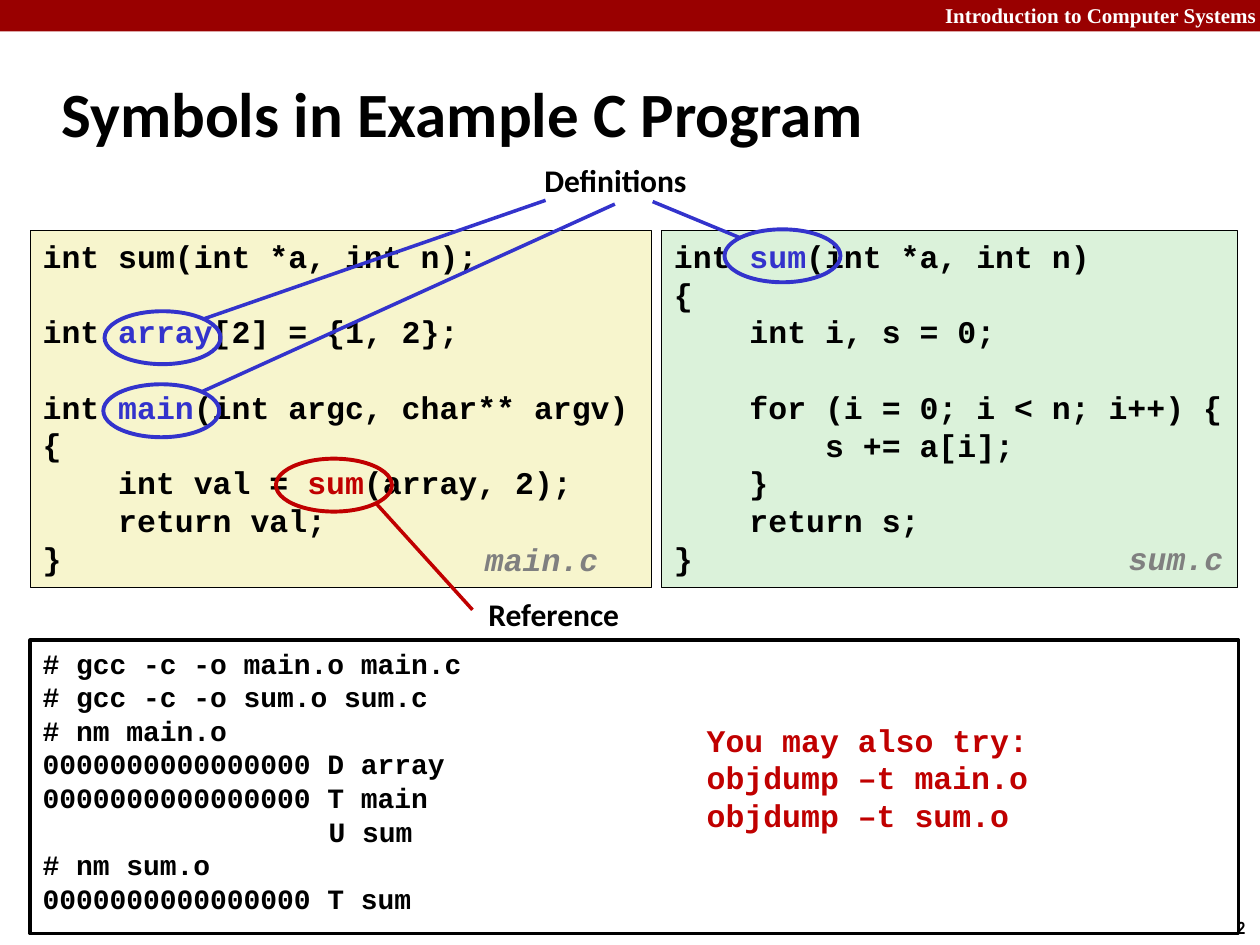
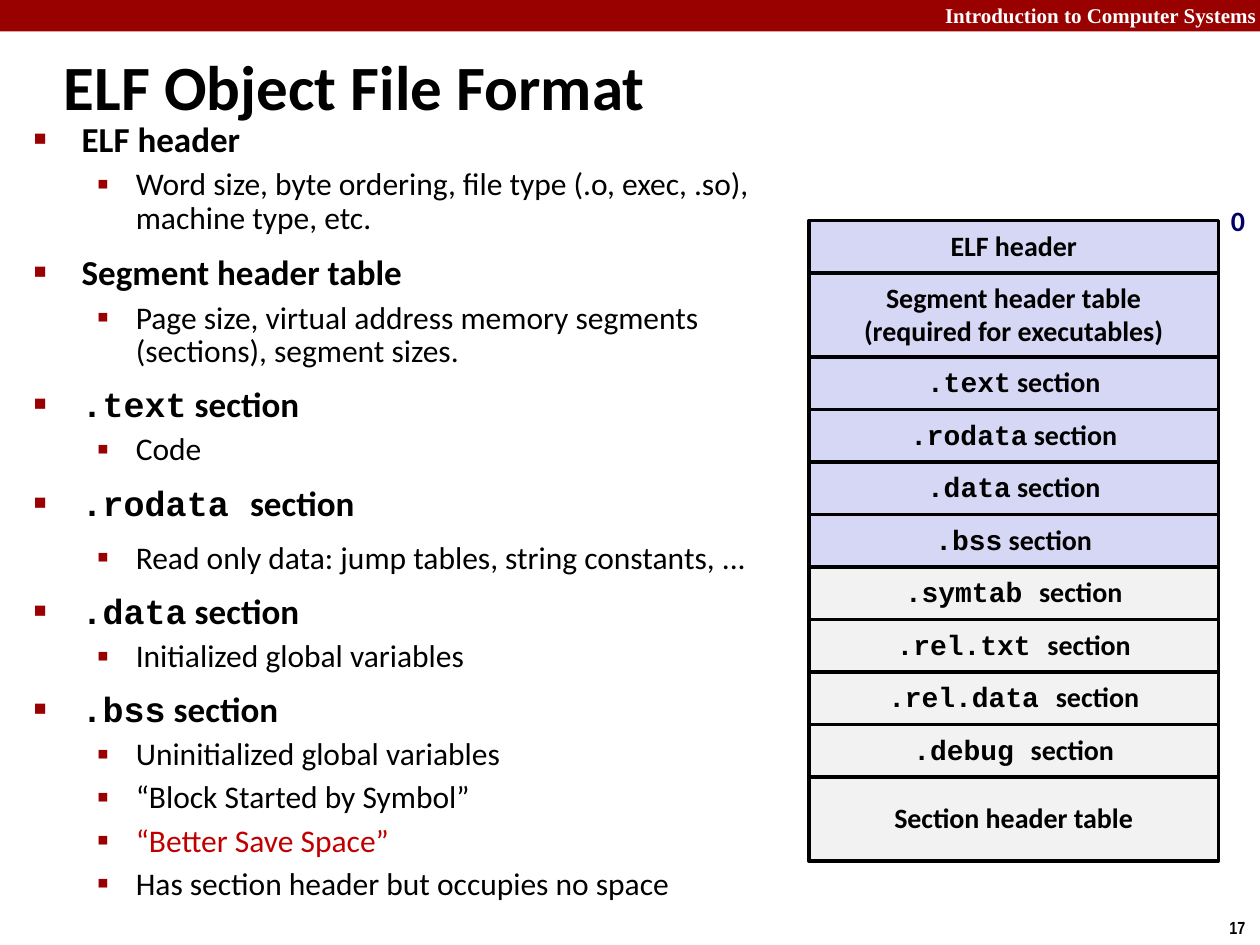
from dataclasses import dataclass
from lxml import etree
from pptx import Presentation
from pptx import util as u
from pptx.dml.color import RGBColor
from pptx.enum import shapes, text
from pptx.oxml import ns


@dataclass(frozen=True)
class Theme:
    band: str = "990000"
    red: str = "C00000"
    blue: str = "3333CC"
    navy: str = "000066"
    cream: str = "F7F5CD"
    mint: str = "DBF2DA"
    lilac: str = "D6D6F5"
    pale: str = "F2F2F2"
    gray: str = "808080"
    black: str = "000000"
    white: str = "FFFFFF"
    sans: str = "Calibri"
    mono: str = "Courier New"
    serif: str = "Times New Roman"
    thin: str = "Arial Narrow"
    title: int = 36
    head: int = 20
    body: int = 18
    small: int = 16
    note: int = 12
    page: int = 10


T = Theme()
RECT, OVAL = shapes.MSO_SHAPE.RECTANGLE, shapes.MSO_SHAPE.OVAL
LEFT, MID, RIGHT = text.PP_ALIGN.LEFT, text.PP_ALIGN.CENTER, text.PP_ALIGN.RIGHT
MIDDLE = text.MSO_ANCHOR.MIDDLE


def box(slide, at, kind=None, fill=None, line=None, width=2, wrap=True, anchor=text.MSO_ANCHOR.TOP):
    """Add a preset shape, or a text box when no kind is given."""
    spot = [u.Inches(n) for n in at]
    if kind is None:
        item = slide.shapes.add_textbox(*spot)
    else:
        item = slide.shapes.add_shape(kind, *spot)
        item.shadow.inherit = False
        if fill:
            item.fill.solid()
            item.fill.fore_color.rgb = RGBColor.from_string(fill)
        else:
            item.fill.background()
        if line:
            item.line.color.rgb = RGBColor.from_string(line)
            item.line.width = u.Pt(width)
        else:
            item.line.fill.background()
    item.text_frame.word_wrap = wrap
    item.text_frame.vertical_anchor = anchor
    return item


def para(item, runs, size, face=T.sans, color=T.black, bold=True, italic=False,
         align=LEFT, before=0, indent=0, hang=0, space=None, bullet=None):
    """Add a paragraph; a run is (words,) or (words, colour) or (words, colour, face)."""
    frame = item.text_frame
    p = frame.add_paragraph() if frame.text else frame.paragraphs[0]
    p.alignment = align
    p.space_before = u.Pt(before)
    if space:
        p.line_spacing = space
    props = p._p.get_or_add_pPr()
    props.set("marL", str(u.Inches(indent)))
    props.set("indent", str(-u.Inches(hang)))
    if bullet:
        mark, scale = bullet
        tint = etree.SubElement(props, ns.qn("a:buClr"))
        etree.SubElement(tint, ns.qn("a:srgbClr"), val=T.band)
        etree.SubElement(props, ns.qn("a:buSzPct"), val=str(scale * 1000))
        etree.SubElement(props, ns.qn("a:buFont"), typeface="Arial")
        etree.SubElement(props, ns.qn("a:buChar"), char=mark)
    for words, *extra in runs:
        r = p.add_run()
        r.text = words
        r.font.size, r.font.bold, r.font.italic = u.Pt(size), bold, italic
        r.font.color.rgb = RGBColor.from_string(extra[0] if extra else color)
        r.font.name = extra[1] if len(extra) > 1 else face


deck = Presentation()
deck.slide_width, deck.slide_height = u.Inches(10), u.Inches(7.5)

# Shared band, course name, page number and title
pages = []
for name, num, at in [
    ("Symbols in Example C Program", "12", (0.39, 0.48, 8.3, 0.83)),
    ("ELF Object File Format", "17", (0.41, 0.25, 9.53, 0.86)),
]:
    page = deck.slides.add_slide(deck.slide_layouts[6])
    box(page, (0, 0, 10, 0.25), RECT, T.band)
    para(box(page, (6, -0.03, 4.07, 0.3)), [("Introduction to Computer Systems",)],
         T.note, T.serif, T.white, align=RIGHT)
    para(box(page, (9.66, 7.23, 0.34, 0.27), wrap=False), [(num,)], T.page, T.thin)
    para(box(page, at, anchor=MIDDLE), [(name,)], T.title)
    pages.append(page)
code, elf = pages

# Source panels: each line is depth, blank line above, runs
STEP, BLANK = 0.6, 21.5
main = [
    (0, 0, [("int sum(int *a, int n);",)]),
    (0, 1, [("int ",), ("array", T.blue), ("[2] = {1, 2};",)]),
    (0, 1, [("int ",), ("main", T.blue), ("(int argc, char** argv)",)]),
    (0, 0, [("{",)]),
    (1, 0, [("int val = ",), ("sum", T.red), ("(array, 2);",)]),
    (1, 0, [("return val;",)]),
    (0, 0, [("}",)]),
]
total = [
    (0, 0, [("int ",), ("sum", T.blue), ("(int *a, int n)",)]),
    (0, 0, [("{",)]),
    (1, 0, [("int i, s = 0;",)]),
    (1, 1, [("for (i = 0; i < n; i++) {",)]),
    (2, 0, [("s += a[i];",)]),
    (1, 0, [("}",)]),
    (1, 0, [("return s;",)]),
    (0, 0, [("}",)]),
]
for left, wide, fill, lines in [(0.24, 4.93, T.cream, main), (5.25, 4.57, T.mint, total)]:
    panel = box(code, (left, 1.83, wide, 2.83), RECT, fill, T.black, 0.25)
    for depth, gap, runs in lines:
        para(panel, runs, T.body, T.mono, indent=depth * STEP, before=gap * BLANK)

# File names
for name, at in [("main.c", (3.75, 4.26, 1.17, 0.39)), ("sum.c", (8.86, 4.25, 1.02, 0.39))]:
    para(box(code, at, wrap=False), [(name,)], T.body, T.mono, T.gray, italic=True, space=0.94)

# Rings round the symbols, with lines to their labels
for left, top, color, start, end in [
    (0.83, 2.47, T.blue, (1.62, 2.53), (4.33, 1.59)),
    (0.82, 3.05, T.blue, (1.6, 3.11), (4.88, 1.62)),
    (5.75, 1.82, T.blue, (5.88, 1.89), (5.18, 1.6)),
    (2.19, 3.64, T.red, (2.98, 3.99), (3.75, 4.84)),
]:
    box(code, (left, top, 0.92, 0.42), OVAL, line=color, width=2.25)
    link = code.shapes.add_connector(shapes.MSO_CONNECTOR.STRAIGHT,
                                     *[u.Inches(n) for n in start + end])
    link.line.color.rgb = RGBColor.from_string(color)
    link.line.width = u.Pt(2)
    etree.SubElement(link._element.spPr, ns.qn("a:effectLst"))
for name, at in [("Definitions", (4.21, 1.23, 1.35, 0.4)), ("Reference", (3.76, 4.67, 1.27, 0.4))]:
    para(box(code, at, wrap=False), [(name,)], T.body, align=MID)

# Terminal and hint
shell = box(code, (0.24, 5.08, 9.59, 2.33), RECT, T.white, T.black)
for line in ["# gcc -c -o main.o main.c", "# gcc -c -o sum.o sum.c", "# nm main.o",
             "0000000000000000 D array", "0000000000000000 T main", "U sum",
             "# nm sum.o", "0000000000000000 T sum"]:
    para(shell, [(line,)], T.small, T.mono, indent=2.27 if line == "U sum" else 0)
hint = box(code, (5.51, 5.67, 4.05, 1.01), RECT, T.white, T.white, 0.75)
for line in ["You may also try:", "objdump –t main.o", "objdump –t sum.o"]:
    para(hint, [(line,)], T.body, T.mono, T.red)

# ELF outline: head runs, then the points below it
outline = [
    ([("ELF header",)],
     [("Word size, byte ordering, file type (.o, exec, .so), machine type, etc.",)]),
    ([("Segment header table",)],
     [("Page size, virtual address memory segments (sections), segment sizes.",)]),
    ([(".text", T.black, T.mono), (" section",)], [("Code",)]),
    ([(".rodata ", T.black, T.mono), ("section",)],
     [("Read only data: jump tables, string constants, ...",)]),
    ([(".data", T.black, T.mono), (" section",)], [("Initialized global variables",)]),
    ([(".bss", T.black, T.mono), (" section",)],
     [("Uninitialized global variables",), ("“Block Started by Symbol”",),
      ("“Better Save Space”", T.red), ("Has section header but occupies no space",)]),
]
body = box(elf, (0.17, 0.94, 6.1, 5.89))
for head, points in outline:
    para(body, head, T.head, before=12.5, indent=0.38, hang=0.38,
         space=0.83 if len(head) == 1 else 0.8, bullet=("■", 60))
    loose = head[0][0] == ".rodata "
    for point in points:
        para(body, [point], T.body, bold=False, before=12.5 if loose else 5.6, indent=0.81,
             hang=0.31, space=0.8 if loose else 0.88, bullet=("▪", 110))

# ELF file layout, stacked from offset 0
ROW, TALL = 5 / 12, 8 / 12
stack = [
    (["ELF header"], ROW, T.lilac),
    (["Segment header table", "(required for executables)"], TALL, T.lilac),
    *[([(name, " section")], ROW, T.lilac) for name in (".text", ".rodata", ".data", ".bss")],
    *[([(name + " ", "section")], ROW, T.pale)
      for name in (".symtab", ".rel.txt", ".rel.data", ".debug")],
    (["Section header table"], TALL, T.pale),
]
top = 1.75
for lines, high, fill in stack:
    cell = box(elf, (6.42, top, 3.25, high), RECT, fill, T.black, wrap=False, anchor=MIDDLE)
    for line in lines:
        if isinstance(line, tuple):
            runs, space = [(line[0], T.black, T.mono), (line[1],)], 0.94
        else:
            runs, space = [(line,)], 0.98
        para(cell, runs, T.small, align=MID, space=space)
    top += high
para(box(elf, (9.67, 1.58, 0.31, 0.37), wrap=False), [("0",)], T.small, color=T.navy, space=0.98)

deck.save("out.pptx")
